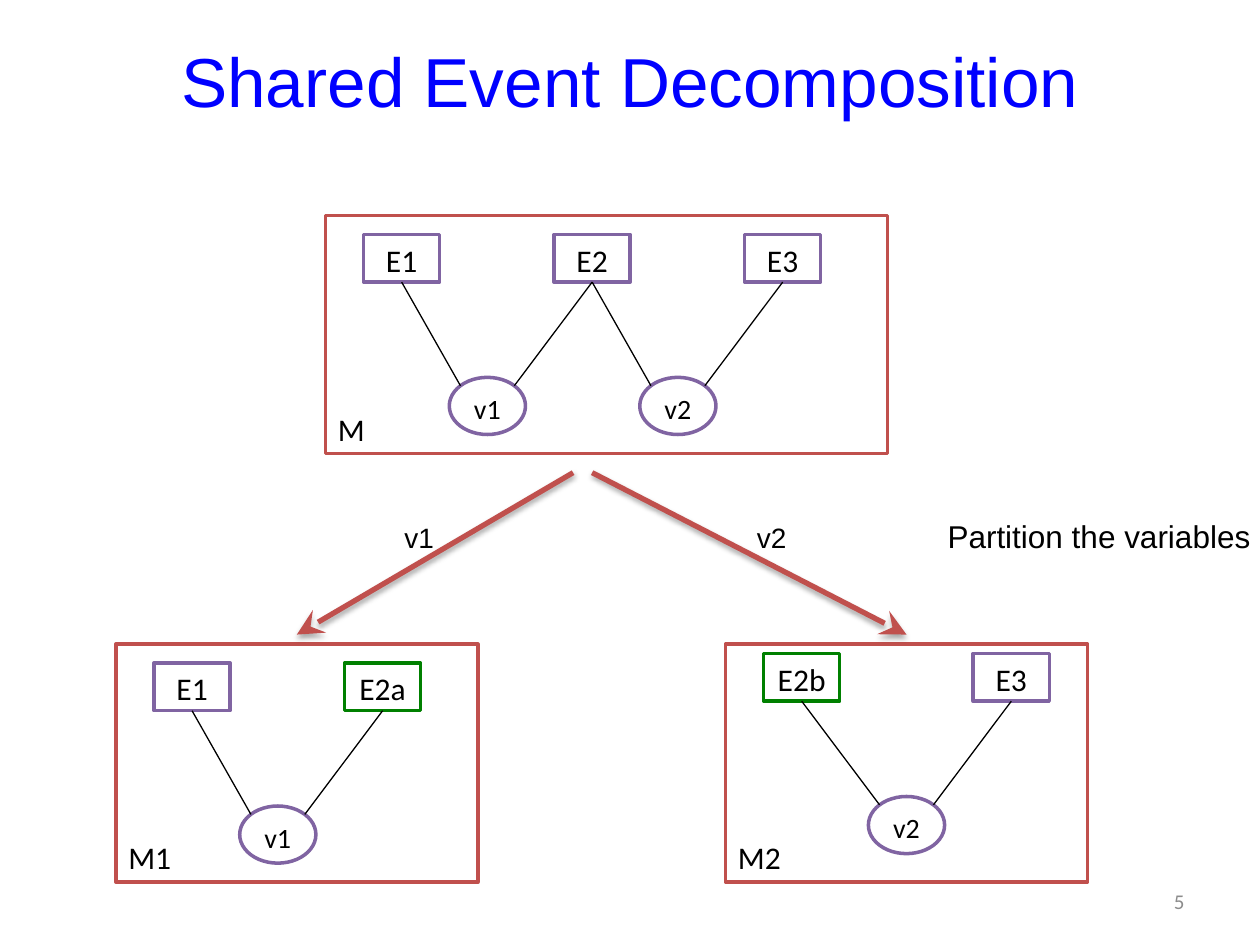
"""Build the Shared Event Decomposition slide on a fine square grid."""
from math import sqrt

from lxml.etree import SubElement
from pptx import Presentation
from pptx.dml.color import RGBColor
from pptx.enum.shapes import MSO_CONNECTOR as Connector, MSO_SHAPE as Shape
from pptx.enum.text import MSO_ANCHOR as Anchor, PP_ALIGN as Align
from pptx.oxml.ns import qn
from pptx.util import Inches, Pt

CELL = Inches(0.0756)
LEFT, TOP = Inches(0.92), Inches(1.71)
EVENT_WIDTH, EVENT_HEIGHT, VARIABLE_HEIGHT, FRAME_HEIGHT = 8, 5, 6, 25
PURPLE, GREEN, RED, BLACK = "8064A2", "008000", "C0504D", "000000"
color = RGBColor.from_string


def write(shape, text, size, font="Calibri", ink=BLACK, align=Align.LEFT, **frame_format):
    frame = shape.text_frame
    for name, value in frame_format.items():
        setattr(frame, name, value)
    paragraph = frame.paragraphs[0]
    paragraph.alignment = align
    run = paragraph.add_run()
    run.text = text
    for name, value in {"name": font, "size": Pt(size)}.items():
        setattr(run.font, name, value)
    run.font.color.rgb = color(ink)


def add_node(kind, column, row, columns, rows, line, fill=None):
    shape = slide.shapes.add_shape(
        kind, LEFT + column * CELL, TOP + row * CELL, columns * CELL, rows * CELL)
    shape.shadow.inherit = False
    if fill:
        shape.fill.solid()
        shape.fill.fore_color.rgb = color(fill)
    else:
        shape.fill.background()
    shape.line.color.rgb = color(line)
    shape.line.width = Pt(2)
    return shape


presentation = Presentation()
presentation.slide_width, presentation.slide_height = Inches(10), Inches(7.5)
slide = presentation.slides.add_slide(presentation.slide_layouts[6])
width, height = presentation.slide_width, presentation.slide_height

title = slide.shapes.add_textbox(
    int(width * 0.05), int(height * 0.04), int(width * 0.9), Inches(1.25))
write(title, "Shared Event Decomposition", 39.6, "Arial", "0000FF", Align.CENTER,
      word_wrap=True, vertical_anchor=Anchor.TOP, margin_top=0)

machines = [
    ("M", 22, 0, 59, 2,
     [("E1", 4, PURPLE), ("E2", 24, PURPLE), ("E3", 44, PURPLE)],
     [("v1", 13), ("v2", 33)],
     [("E1", "v1"), ("E2", "v2"), ("E3", "v2"), ("E2", "v1")]),
    ("M1", 0, 45, 38, 2,
     [("E1", 4, PURPLE), ("E2a", 24, GREEN)], [("v1", 13)],
     [("E1", "v1"), ("E2a", "v1")]),
    ("M2", 64, 45, 38, 1,
     [("E2b", 4, GREEN), ("E3", 26, PURPLE)], [("v2", 15)],
     [("E2b", "v2"), ("E3", "v2")]),
]
node_text = {"align": Align.CENTER, "vertical_anchor": Anchor.TOP, "word_wrap": False}

for machine, column, row, columns, event_row, events, variables, links in machines:
    nodes = {}
    for name, offset, line in events:
        nodes[name] = add_node(Shape.RECTANGLE, column + offset, row + event_row,
                               EVENT_WIDTH, EVENT_HEIGHT, line, "FFFFFF")
        write(nodes[name], name, 18, **node_text)
    for name, offset in variables:
        nodes[name] = add_node(Shape.OVAL, column + offset, row + event_row + 15,
                               EVENT_WIDTH, VARIABLE_HEIGHT, PURPLE, "FFFFFF")
        write(nodes[name], name, 16, **node_text)
    for event_name, variable_name in links:
        event, variable = nodes[event_name], nodes[variable_name]
        side = -1 if event.left < variable.left else 1
        end_x = variable.left + variable.width / 2 * (1 + side / sqrt(2))
        end_y = variable.top + variable.height / 2 * (1 - 1 / sqrt(2))
        link = slide.shapes.add_connector(
            Connector.STRAIGHT, event.left, event.top, int(end_x), int(end_y))
        link.begin_connect(event, 2)
        link.line.color.rgb = color(BLACK)
        link.line.width = Pt(0.75)
        SubElement(link._element.spPr, qn("a:effectLst"))
    frame = add_node(Shape.RECTANGLE, column, row, columns, FRAME_HEIGHT, RED)
    write(frame, machine, 18, vertical_anchor=Anchor.BOTTOM, word_wrap=True)

for start_column, end_column in [(48, 19), (50, 83)]:
    arrow = slide.shapes.add_connector(
        Connector.STRAIGHT, LEFT + start_column * CELL, TOP + 27 * CELL,
        LEFT + end_column * CELL, TOP + 44 * CELL)
    arrow.line.color.rgb = color(RED)
    arrow.line.width = Pt(3)
    SubElement(arrow.line._get_or_add_ln(), qn("a:tailEnd"), type="stealth", w="lg", len="lg")
    effects = SubElement(arrow._element.spPr, qn("a:effectLst"))
    shadow = SubElement(effects, qn("a:outerShdw"), blurRad=str(Pt(3.1)), dist=str(Pt(1.8)),
                        dir="5400000", rotWithShape="0")
    tint = SubElement(shadow, qn("a:srgbClr"), val=BLACK)
    SubElement(tint, qn("a:alpha"), val="35000")

for text, column, row, columns, size in [
        ("v1", 29, 31.4, 6, 16), ("v2", 66, 31.4, 6, 16),
        ("Partition the variables", 86, 31, 34.5, 18)]:
    label = slide.shapes.add_textbox(
        LEFT + column * CELL, int(TOP + row * CELL), int(columns * CELL), 5 * CELL)
    write(label, text, size, "Arial", word_wrap=False)

number = slide.shapes.add_textbox(
    int(width * 0.717), int(height * 0.927), int(width * 0.233), Inches(0.4))
write(number, "5", 12, ink="8C8C8C", align=Align.RIGHT,
      vertical_anchor=Anchor.MIDDLE, word_wrap=True)

presentation.save("out.pptx")
